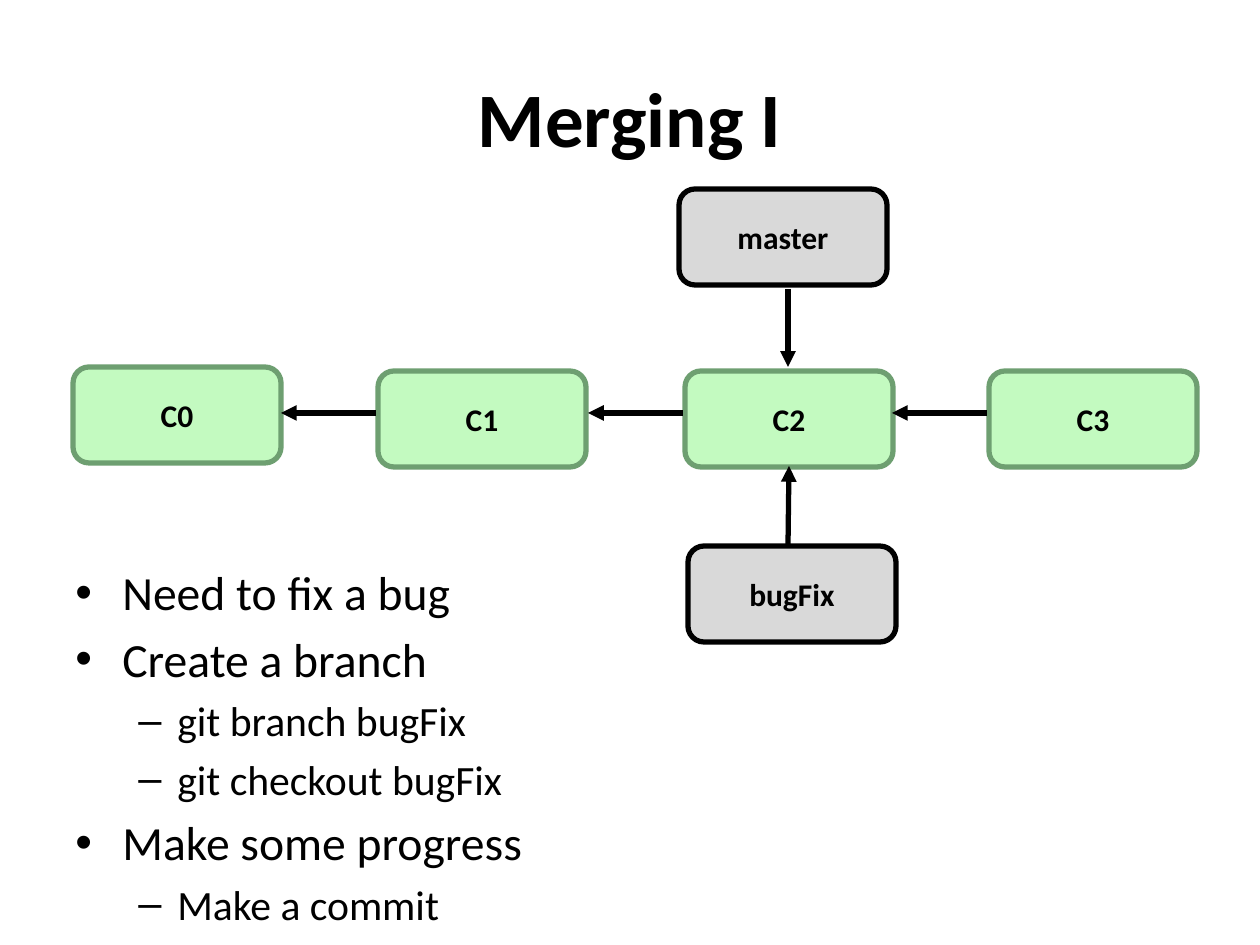
"""Build the "Merging I" slide: a commit chain with two branch labels and the steps taken."""
from dataclasses import dataclass
from lxml import etree
from pptx import Presentation, util as u
from pptx.dml.color import RGBColor
from pptx.enum import shapes, text
from pptx.oxml.ns import qn


@dataclass(frozen=True)
class Theme:
    font: str = "Calibri"
    ink: RGBColor = RGBColor(0, 0, 0)
    commit: tuple = (RGBColor(0xC3, 0xFA, 0xC0), RGBColor(0x6E, 0x9F, 0x71))
    branch: tuple = (RGBColor(0xD9, 0xD9, 0xD9), RGBColor(0, 0, 0))
    title: float = 44
    label: float = 18
    steps: tuple = (27.2, 23.8)
    stroke: float = 3


theme = Theme()


def px(pixels):
    return u.Emu(pixels * 914400 // 126)


def write(paragraph, words, size, bold=False, align=text.PP_ALIGN.CENTER):
    paragraph.alignment = align
    run = paragraph.add_run()
    run.text = words
    run.font.color.rgb = theme.ink
    style = {"name": theme.font, "size": u.Pt(size), "bold": bold}
    for key, value in style.items():
        setattr(run.font, key, value)


deck = Presentation()
deck.slide_width, deck.slide_height = px(1260), px(945)
slide = deck.slides.add_slide(deck.slide_layouts[6])

heading = slide.shapes.add_textbox(*map(px, (63, 38, 1134, 157))).text_frame
heading.word_wrap = True
heading.vertical_anchor = text.MSO_ANCHOR.MIDDLE
write(heading.paragraphs[0], "Merging I", theme.title, bold=True)

steps = [
    (0, "Need to fix a bug"),
    (0, "Create a branch"),
    (1, "git branch bugFix"),
    (1, "git checkout bugFix"),
    (0, "Make some progress"),
    (1, "Make a commit"),
]
bullets = [("•", 47, -47), ("–", 102, -39)]
step_list = slide.shapes.add_textbox(*map(px, (63, 220, 1134, 624))).text_frame
frame_format = {"word_wrap": True, "margin_top": px(343), "margin_bottom": 0}
for key, value in frame_format.items():
    setattr(step_list, key, value)
for index, (level, words) in enumerate(steps):
    step = step_list.add_paragraph() if index else step_list.paragraphs[0]
    size = theme.steps[level]
    write(step, words, size, align=text.PP_ALIGN.LEFT)
    step.level = level
    step.space_before = u.Pt(round(size * 0.2, 1) if index else 0)
    mark, margin, hanging = bullets[level]
    properties = step._p.get_or_add_pPr()
    properties.set("marL", str(px(margin)))
    properties.set("indent", str(px(hanging)))
    etree.SubElement(properties, qn("a:buFont"), typeface="Arial")
    etree.SubElement(properties, qn("a:buChar"), char=mark)

nodes = [
    ("C0", 73, 367, theme.commit),
    ("C1", 378, 371, theme.commit),
    ("C2", 685, 371, theme.commit),
    ("C3", 989, 371, theme.commit),
    ("master", 679, 189, theme.branch),
    ("bugFix", 688, 546, theme.branch),
]
for name, left, top, (fill, outline) in nodes:
    node = slide.shapes.add_shape(
        shapes.MSO_SHAPE.ROUNDED_RECTANGLE, *map(px, (left, top, 208, 96)))
    node.shadow.inherit = False
    node.fill.solid()
    node.fill.fore_color.rgb = fill
    node.line.color.rgb = outline
    node.line.width = u.Pt(theme.stroke)
    node.text_frame.vertical_anchor = text.MSO_ANCHOR.MIDDLE
    write(node.text_frame.paragraphs[0], name, theme.label, bold=True)

parent_links = [(start, 413, start - 95, 413) for start in (376, 683, 987)]
branch_pointers = [(788, 289, 788, 367), (788, 546, 789, 466)]
for ends in parent_links + branch_pointers:
    arrow = slide.shapes.add_connector(shapes.MSO_CONNECTOR.STRAIGHT, *map(px, ends))
    arrow.line.color.rgb = theme.ink
    arrow.line.width = u.Pt(theme.stroke)
    etree.SubElement(arrow.line._get_or_add_ln(), qn("a:tailEnd"), type="triangle")
    etree.SubElement(arrow._element.spPr, qn("a:effectLst"))

deck.save("out.pptx")
